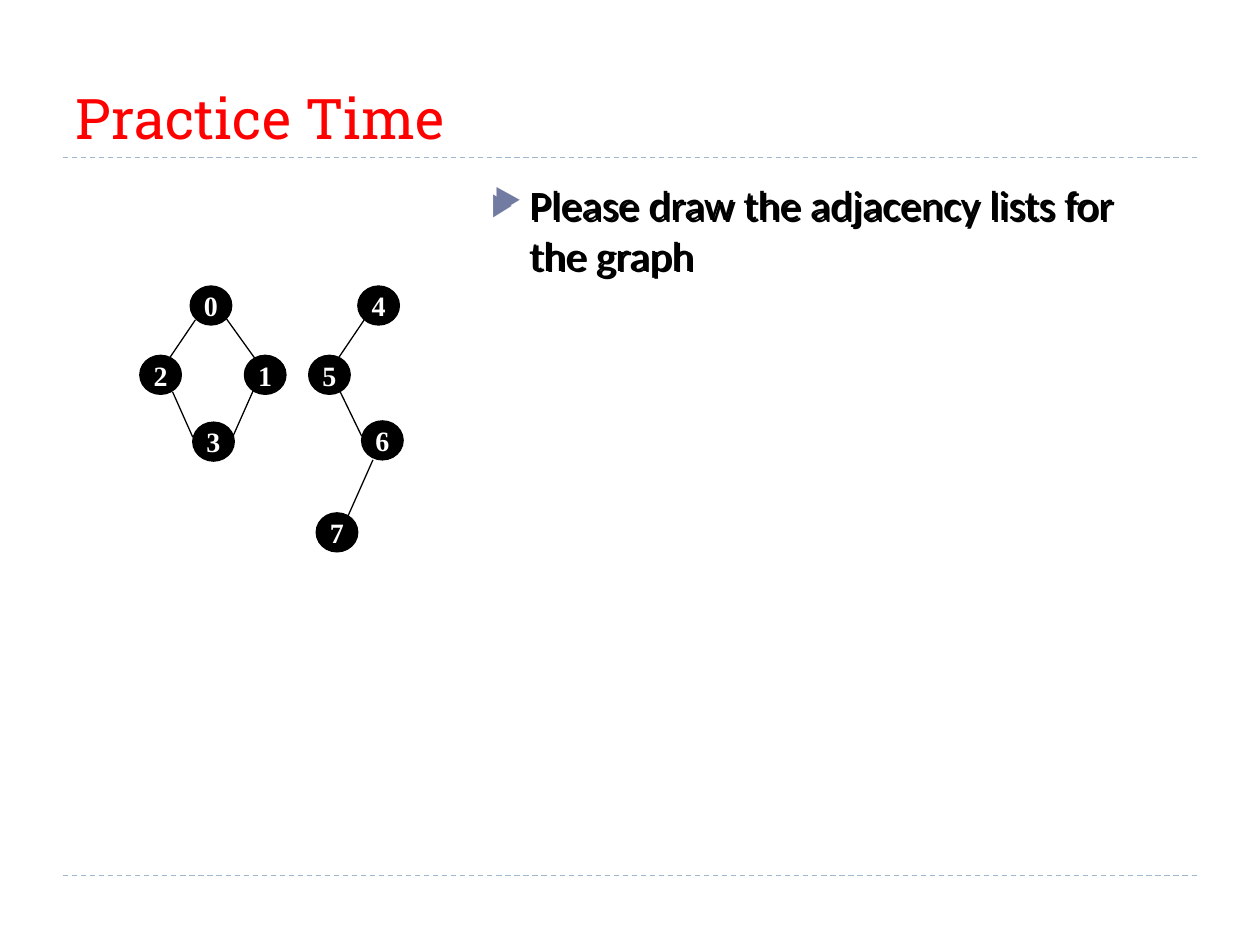
from dataclasses import dataclass

from lxml.etree import SubElement
from pptx import Presentation
from pptx.dml.color import RGBColor
from pptx.enum.dml import MSO_LINE_DASH_STYLE as Dash
from pptx.enum.shapes import MSO_CONNECTOR as Link, MSO_SHAPE as Shape
from pptx.enum.text import MSO_ANCHOR as Anchor, MSO_AUTO_SIZE as Fit, PP_ALIGN as Align
from pptx.oxml.ns import qn
from pptx.util import Inches, Pt

NODE_W, NODE_H = 0.33, 0.31
BLACK, WHITE, RED = "000000", "FFFFFF", "FF0000"
RULE, BULLET = "9FB8CD", "727CA3"
TASK = "Please draw the adjacency lists for the graph"


@dataclass
class Node:
    label: str
    x: float
    y: float


@dataclass
class Edge:
    x1: float
    y1: float
    x2: float
    y2: float


LOOP = (
    [Node("0", 1.51, 2.27), Node("1", 1.94, 2.82),
     Node("2", 1.11, 2.82), Node("3", 1.53, 3.35)],
    [Edge(1.79, 2.52, 2.02, 2.84), Edge(2.01, 3.1, 1.85, 3.46),
     Edge(1.55, 2.54, 1.34, 2.85), Edge(1.37, 3.11, 1.53, 3.47)],
)
CHAIN = (
    [Node("4", 2.84, 2.27), Node("5", 2.45, 2.82),
     Node("6", 2.87, 3.34), Node("7", 2.51, 4.07)],
    [Edge(2.89, 2.54, 2.68, 2.85), Edge(2.7, 3.11, 2.87, 3.46),
     Edge(2.96, 3.65, 2.76, 4.1)],
)


def rgb(code: str) -> RGBColor:
    return RGBColor.from_string(code)


def style(para, font: str, size: int, color: str, bold: bool = False) -> None:
    para.font.name = font
    para.font.size = Pt(size)
    para.font.bold = bold
    para.font.color.rgb = rgb(color)


def place(shape, x: float, y: float, w: float, h: float) -> None:
    shape.left, shape.top = Inches(x), Inches(y)
    shape.width, shape.height = Inches(w), Inches(h)


def draw_line(shapes, edge: Edge, color: str = BLACK):
    line = shapes.add_connector(Link.STRAIGHT, Inches(edge.x1), Inches(edge.y1),
                                Inches(edge.x2), Inches(edge.y2))
    line.line.color.rgb = rgb(color)
    line.line.width = Pt(0.75)
    SubElement(line._element.spPr, qn("a:effectLst"))
    return line


def draw_node(shapes, node: Node) -> None:
    dot = shapes.add_shape(Shape.OVAL, Inches(node.x), Inches(node.y),
                           Inches(NODE_W), Inches(NODE_H))
    dot.shadow.inherit = False
    dot.fill.solid()
    dot.fill.fore_color.rgb = rgb(BLACK)
    dot.line.color.rgb = rgb(BLACK)
    dot.line.width = Pt(0.75)
    frame = dot.text_frame
    frame.word_wrap = False
    frame.vertical_anchor = Anchor.MIDDLE
    para = frame.paragraphs[0]
    para.text = node.label
    para.alignment = Align.CENTER
    style(para, "Times New Roman", 16, WHITE, bold=True)


def draw_graph(slide, nodes: list[Node], edges: list[Edge]) -> None:
    group = slide.shapes.add_group_shape()
    for edge in edges:
        draw_line(group.shapes, edge)
    for node in nodes:
        draw_node(group.shapes, node)


def write_task(frame) -> None:
    """Fill a text frame with the bulleted task."""
    frame.word_wrap = True
    frame.auto_size = Fit.NONE
    para = frame.paragraphs[0]
    para.text = TASK
    para.space_before = Pt(6)
    props = para._p.get_or_add_pPr()
    props.set("marL", str(Inches(0.3)))
    props.set("indent", str(Inches(-0.3)))
    SubElement(SubElement(props, qn("a:buClr")), qn("a:srgbClr"), val=BULLET)
    SubElement(props, qn("a:buSzPct"), val="76000")
    SubElement(props, qn("a:buChar"), char="▶")
    style(para, "Calibri", 24, BLACK)


def main() -> None:
    deck = Presentation()
    deck.slide_width, deck.slide_height = Inches(10), Inches(7.5)
    slide = deck.slides.add_slide(deck.slide_layouts[1])

    for y in (6.95, 1.25):
        rule = draw_line(slide.shapes, Edge(0.5, y, 9.5, y), RULE)
        rule.line.dash_style = Dash.DASH
    for nodes, edges in (LOOP, CHAIN):
        draw_graph(slide, nodes, edges)

    title = slide.shapes.title
    place(title, 0.5, 0.17, 9, 1.08)
    title.text_frame.auto_size = Fit.NONE
    title.text_frame.vertical_anchor = Anchor.BOTTOM
    head = title.text_frame.paragraphs[0]
    head.text = "Practice Time"
    head.alignment = Align.LEFT
    style(head, "Roboto Slab", 32, RED)

    # The task is set twice, slightly apart, for a heavy doubled look.
    body = slide.placeholders[1]
    place(body, 3.8, 1.37, 5.53, 0.98)
    write_task(body.text_frame)
    twin = slide.shapes.add_textbox(Inches(3.82), Inches(1.38), Inches(5.53), Inches(0.98))
    write_task(twin.text_frame)

    deck.save("out.pptx")


if __name__ == "__main__":
    main()
